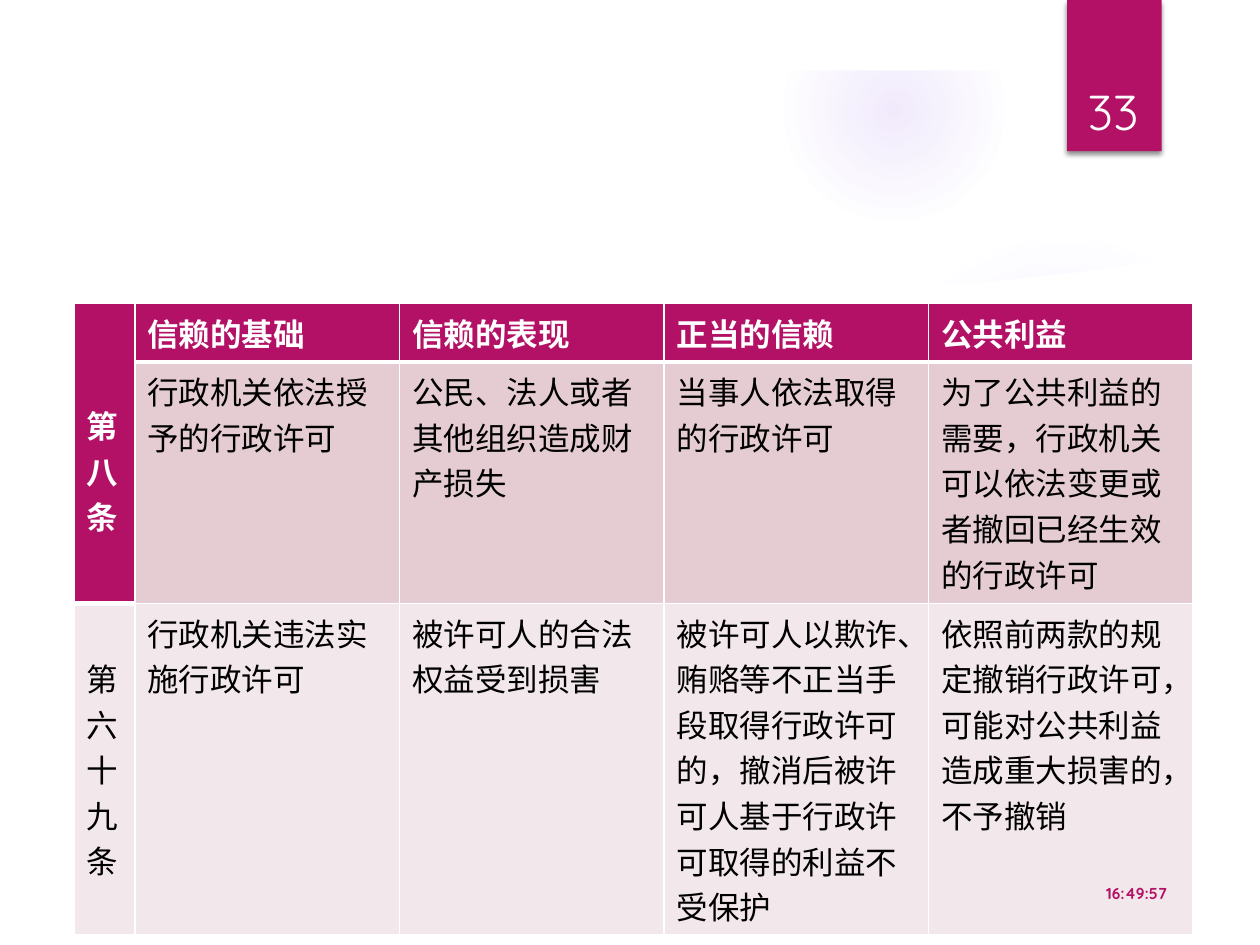
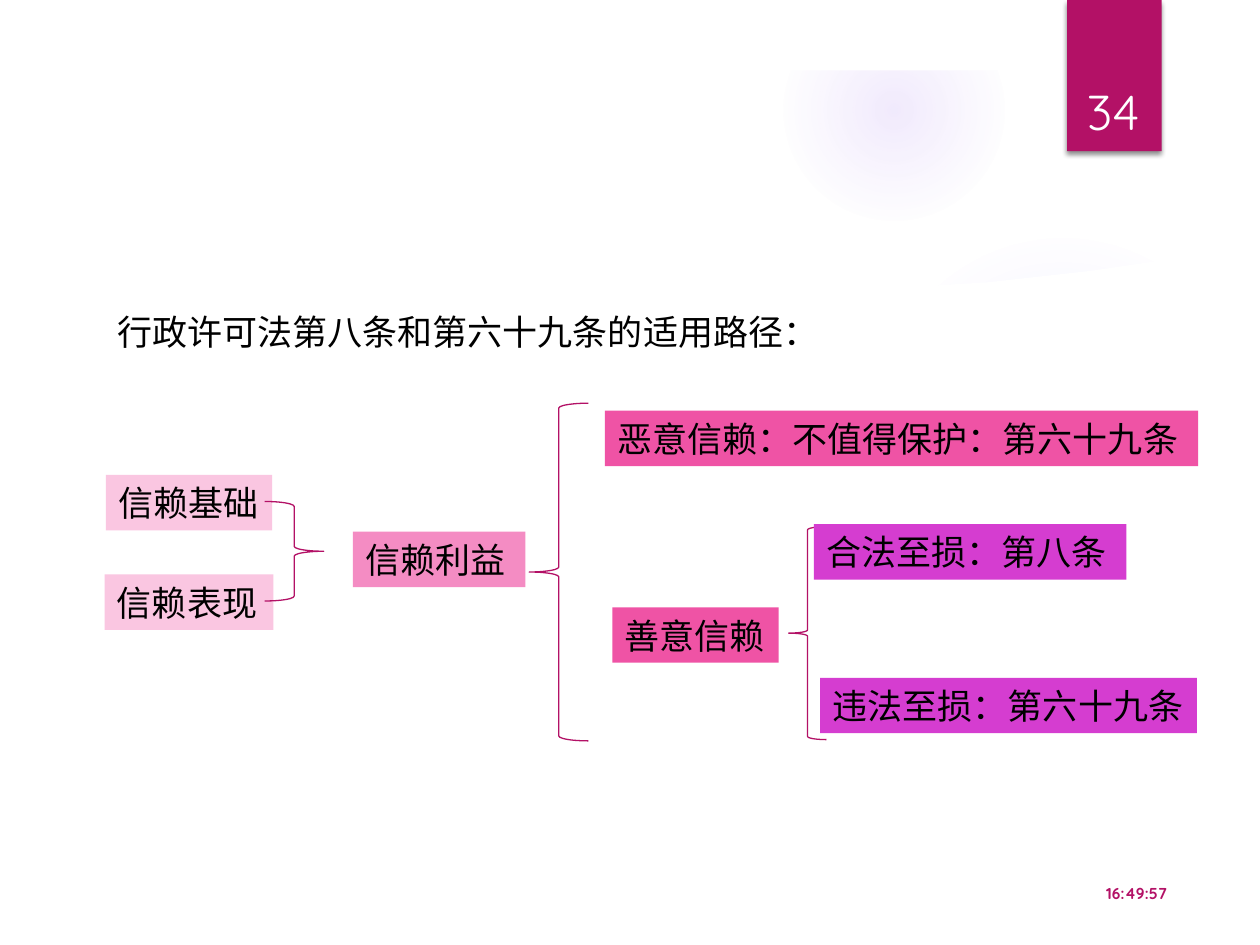
"""Builds two slides on reliance protection in administrative licensing law."""
from dataclasses import dataclass

from pptx import Presentation
from pptx.dml.color import RGBColor
from pptx.enum.shapes import MSO_SHAPE
from pptx.enum.text import MSO_ANCHOR, MSO_AUTO_SIZE, PP_ALIGN
from pptx.oxml import parse_xml
from pptx.oxml.ns import nsdecls, qn
from pptx.util import Inches, Pt

RECTANGLE, OVAL = MSO_SHAPE.RECTANGLE, MSO_SHAPE.OVAL
LEFT_BRACE, RIGHT_BRACE = MSO_SHAPE.LEFT_BRACE, MSO_SHAPE.RIGHT_BRACE
LEFT, CENTER, RIGHT = PP_ALIGN.LEFT, PP_ALIGN.CENTER, PP_ALIGN.RIGHT
TOP, MIDDLE, BOTTOM = MSO_ANCHOR.TOP, MSO_ANCHOR.MIDDLE, MSO_ANCHOR.BOTTOM
NO_FIT = MSO_AUTO_SIZE.NONE
TITLE_ONLY = 5


@dataclass(frozen=True)
class Theme:
    """Colours, fonts and type sizes of the deck."""
    accent: str = "B31166"
    glow: str = "9B6BF2"
    white: str = "FFFFFF"
    ink: str = "000000"
    row_dark: str = "E5CCD3"
    row_light: str = "F2E7EA"
    stages: tuple = ("FAC6E1", "F48CC3", "EF53A5", "D53DD0")
    body_font: str = "Noto Sans CJK SC"
    number_font: str = "Quicksand"
    table_size: int = 18
    path_size: int = 20
    number_size: int = 28
    clock_size: int = 9


THEME = Theme()
WIDTH, HEIGHT = 10, 7.5
CLOCK = "16:49:57"
FIRST_NUMBER = 33

ARTICLE_ROWS = [
    ["第八条", "信赖的基础", "信赖的表现", "正当的信赖", "公共利益"],
    ["", "行政机关依法授予的行政许可", "公民、法人或者其他组织造成财产损失",
     "当事人依法取得的行政许可",
     "为了公共利益的需要，行政机关可以依法变更或者撤回已经生效的行政许可"],
    ["第六十九条", "行政机关违法实施行政许可", "被许可人的合法权益受到损害",
     "被许可人以欺诈、贿赂等不正当手段取得行政许可的，撤消后被许可人基于行政许可取得的利益不受保护",
     "依照前两款的规定撤销行政许可，可能对公共利益造成重大损害的，不予撤销"],
]
COLUMN_WIDTHS = [0.48] + [2.1] * 4
ROW_HEIGHTS = [0.45, 1.89, 2.42]
ARTICLE_DROPS = {0: 0.78, 2: 0.41}

PATH_TITLE = "行政许可法第八条和第六十九条的适用路径："
BOX_HEIGHT = 0.44
PATH_STAGES = [
    ([("信赖基础", 0.84, 3.77, 1.32), ("信赖表现", 0.83, 4.56, 1.34)],
     (RIGHT_BRACE, 2.1, 3.98, 0.47, 0.79)),
    ([("信赖利益", 2.8, 4.22, 1.37)],
     (LEFT_BRACE, 4.2, 3.2, 0.47, 2.68)),
    ([("恶意信赖：不值得保护：第六十九条", 4.8, 3.26, 4.71),
      ("善意信赖", 4.86, 4.82, 1.32)],
     (LEFT_BRACE, 6.26, 4.18, 0.3, 1.69)),
    ([("合法至损：第八条", 6.46, 4.16, 2.48),
      ("违法至损：第六十九条", 6.51, 5.38, 2.99)], None),
]

GLOWS = [
    ((6.89, 1.83, 3.08), ((0, 7), (36, 6), (69, 0))),
    ((6.22, 0, 1.75), ((0, 14), (36, 7), (73, 0))),
]
SLIVER = [(6.99, 2.34), (7.8, 2.33), (8.7, 2.23), (9.56, 2.08), (9.51, 1.74),
          (9.01, 1.9), (8.5, 2.03), (8.01, 2.13), (7.47, 2.23), (6.96, 2.29)]
SHEET = [(0.53, 2.03), (0.53, 6.99), (9.47, 6.99), (9.47, 2.03), (8.66, 2.15),
         (7.85, 2.24), (7.04, 2.29), (6.25, 2.33), (5.48, 2.34), (4.39, 2.34),
         (3.38, 2.3), (2.49, 2.24), (1.73, 2.17), (0.99, 2.09)]
FRAME_OUTER = [(0, 0), (0, HEIGHT), (WIDTH, HEIGHT), (WIDTH, 0)]
FRAME_INNER = [(9.45, 6.95), (0.56, 6.95), (0.56, 0.56), (9.45, 0.56)]


def rgb(colour):
    """Turn a hex string into a colour."""
    return RGBColor.from_string(colour)


def inches(*lengths):
    """Turn lengths in inches into slide units."""
    return [Inches(length) for length in lengths]


def write(frame, text, size, colour, font=THEME.body_font, bold=False, align=LEFT):
    """Write one formatted run into the first paragraph of a frame."""
    paragraph = frame.paragraphs[0]
    paragraph.alignment = align
    run = paragraph.add_run()
    run.text = text
    run.font.size, run.font.bold = Pt(size), bold
    run.font.color.rgb = rgb(colour)
    run.font.name = font
    run.font.fill  
    latin = run.font._element.find(qn("a:latin"))
    latin.addnext(parse_xml(f'<a:ea {nsdecls("a")} typeface="{font}"/>'))


def set_frame(frame, anchor, right=0.1):
    """Fix wrapping, insets and anchor of a text frame."""
    frame.word_wrap, frame.auto_size = True, NO_FIT
    frame.vertical_anchor = anchor
    frame.margin_left, frame.margin_right = inches(0.1, right)
    frame.margin_top = frame.margin_bottom = 0


def paint(shape, colour=None):
    """Give a shape a flat fill or none, without line and shadow."""
    shape.shadow.inherit = False
    shape.line.fill.background()
    if colour:
        shape.fill.solid()
        shape.fill.fore_color.rgb = rgb(colour)
    else:
        shape.fill.background()
    return shape


def add_glow(shapes, place, stops):
    """Add a circle that fades out from its middle."""
    left, top, size = place
    glow = shapes.add_shape(OVAL, *inches(left, top, size, size))
    glow.shadow.inherit = False
    glow.line.fill.background()
    stops_xml = "".join(
        f'<a:gs pos="{at * 1000}"><a:srgbClr val="{THEME.glow}">'
        f'<a:alpha val="{alpha * 1000}"/></a:srgbClr></a:gs>' for at, alpha in stops)
    glow.element.spPr.insert(2, parse_xml(
        f'<a:gradFill {nsdecls("a")} rotWithShape="1"><a:gsLst>{stops_xml}</a:gsLst>'
        '<a:path path="circle"><a:fillToRect l="50000" t="50000" r="50000" b="50000"/>'
        '</a:path></a:gradFill>'))
    return glow


def add_outline(shapes, *contours):
    """Add a white freeform made of closed contours."""
    builder = None
    for contour in contours:
        start, *rest = [inches(*point) for point in contour]
        if builder is None:
            builder = shapes.build_freeform(*start, scale=1.0)
        else:
            builder.move_to(*start)
        builder.add_line_segments(rest, close=True)
    return paint(builder.convert_to_shape(), THEME.white)


def add_band(shapes):
    """Add the number band with its soft shadow."""
    band = paint(shapes.add_shape(RECTANGLE, *inches(8.47, 0, 0.75, 1.2)), THEME.accent)
    band.element.spPr.find(qn("a:effectLst")).append(parse_xml(
        f'<a:outerShdw {nsdecls("a")} blurRad="{Pt(3)}" dist="{Pt(2)}" dir="5400000" '
        f'rotWithShape="0"><a:srgbClr val="{THEME.ink}"><a:alpha val="45000"/>'
        '</a:srgbClr></a:outerShdw>'))
    return band


def decorate(layout, slide):
    """Build the shared background and move it to the layout."""
    shapes = slide.shapes
    parts = [add_glow(shapes, *glow) for glow in GLOWS]
    sliver = add_outline(shapes, SLIVER)
    sliver.element.spPr.find(qn("a:solidFill"))[0].append(
        parse_xml(f'<a:alpha {nsdecls("a")} val="20000"/>'))
    parts += [sliver, add_outline(shapes, SHEET),
              add_outline(shapes, FRAME_OUTER, FRAME_INNER), add_band(shapes)]
    for number, part in enumerate(parts):
        part.element.xpath(".//p:cNvPr")[0].set("id", str(100 + number))
        layout.shapes.element.insert(2 + number, part.element)


def add_footer(slide, number):
    """Add the slide number and the clock."""
    for text, place, size, colour, bold, align in [
            (str(number), (8.4, 0.32, 0.87, 0.84), THEME.number_size, THEME.white,
             False, CENTER),
            (CLOCK, (8.28, 6.96, 1.08, 0.25), THEME.clock_size, THEME.accent,
             True, RIGHT)]:
        frame = slide.shapes.add_textbox(*inches(*place)).text_frame
        set_frame(frame, BOTTOM)
        frame.margin_bottom = Inches(0.05)
        write(frame, text, size, colour, THEME.number_font, bold, align)


def set_borders(cell, heavy):
    """Draw white cell borders, three points wide on the heavy sides."""
    for index, side in enumerate("LRTB"):
        width = Pt(3 if side in heavy else 1)
        cell._tc.tcPr.insert(index, parse_xml(
            f'<a:ln{side} {nsdecls("a")} w="{width}"><a:solidFill>'
            f'<a:srgbClr val="{THEME.white}"/></a:solidFill></a:ln{side}>'))


def build_articles(slide):
    """Fill the slide that compares the two articles."""
    title = slide.shapes.title.element
    title.getparent().remove(title)
    table = slide.shapes.add_table(
        len(ROW_HEIGHTS), len(COLUMN_WIDTHS),
        *inches(0.59, 2.41, sum(COLUMN_WIDTHS), sum(ROW_HEIGHTS))).table
    table.horz_banding = False
    for column, width in zip(table.columns, COLUMN_WIDTHS):
        column.width = Inches(width)
    for row, height in zip(table.rows, ROW_HEIGHTS):
        row.height = Inches(height)
    table.cell(0, 0).merge(table.cell(1, 0))
    for r, texts in enumerate(ARTICLE_ROWS):
        for c, text in enumerate(texts):
            cell = table.cell(r, c)
            header = r == 0 or (r == 1 and c == 0)
            below_header = r == (2 if c == 0 else 1)
            cell.fill.solid()
            cell.fill.fore_color.rgb = rgb(
                THEME.accent if header else (THEME.row_dark, THEME.row_light)[r - 1])
            set_borders(cell, "B" if header else "T" if below_header else "")
            cell.vertical_anchor = TOP
            if c == 0 and r in ARTICLE_DROPS:
                cell.margin_top = Inches(ARTICLE_DROPS[r])
            if text:
                write(cell.text_frame, text, THEME.table_size,
                      THEME.white if header else THEME.ink, bold=header)


def build_path(slide):
    """Fill the slide that shows how the articles apply."""
    title = slide.shapes.title
    title.left, title.top, title.width, title.height = inches(0.83, 2.41, 5.98, BOX_HEIGHT)
    set_frame(title.text_frame, MIDDLE, right=0)
    write(title.text_frame, PATH_TITLE, THEME.path_size, THEME.ink)
    for colour, (boxes, brace) in zip(THEME.stages, PATH_STAGES):
        for text, left, top, width in boxes:
            box = paint(slide.shapes.add_shape(
                RECTANGLE, *inches(left, top, width, BOX_HEIGHT)), colour)
            set_frame(box.text_frame, MIDDLE, right=0)
            write(box.text_frame, text, THEME.path_size, THEME.ink)
        if brace:
            kind, *place = brace
            bracket = paint(slide.shapes.add_shape(kind, *inches(*place)))
            bracket.line.color.rgb = rgb(THEME.accent)
            bracket.line.width = Pt(0.75)


def main():
    """Build and save the deck."""
    deck = Presentation()
    deck.slide_width, deck.slide_height = inches(WIDTH, HEIGHT)
    layout = deck.slide_layouts[TITLE_ONLY]
    for number, build in enumerate((build_articles, build_path), FIRST_NUMBER):
        slide = deck.slides.add_slide(layout)
        if number == FIRST_NUMBER:
            decorate(layout, slide)
        build(slide)
        add_footer(slide, number)
    deck.save("out.pptx")


if __name__ == "__main__":
    main()
